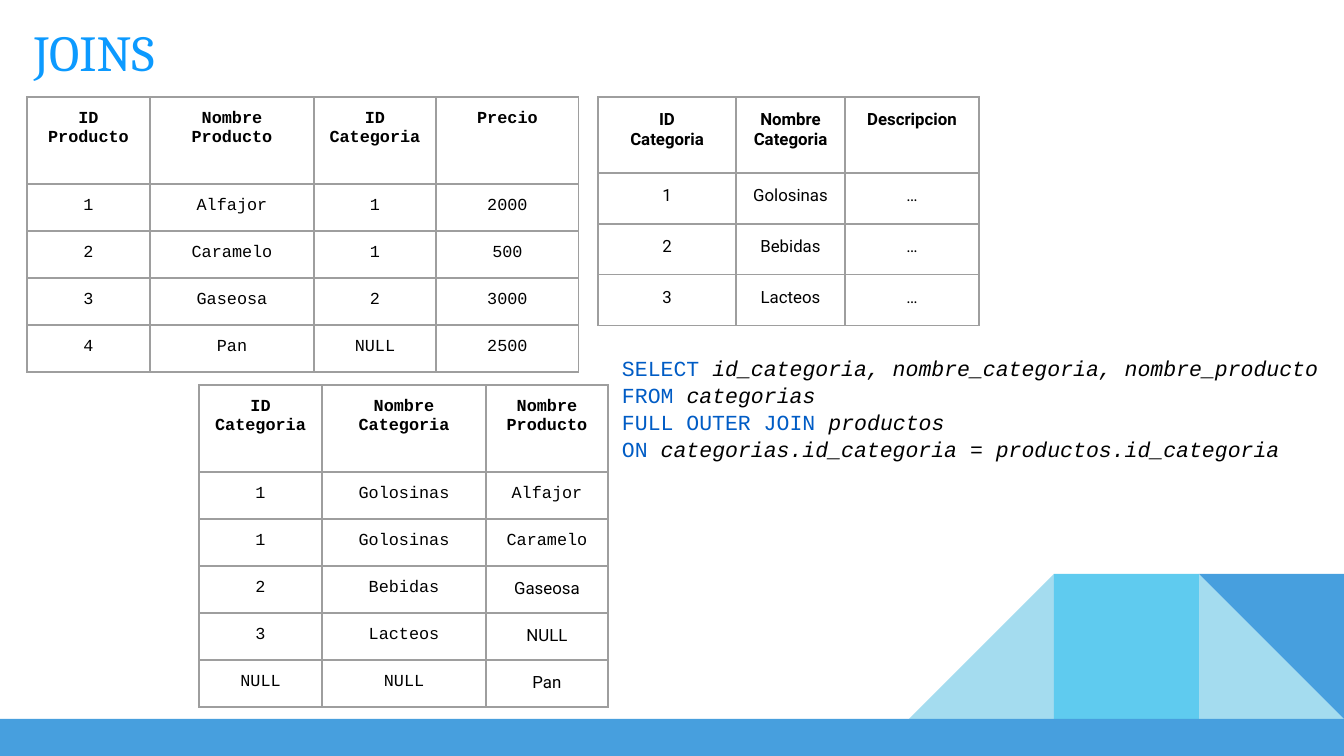
import lxml.etree
import pptx
import pptx.dml.color
import pptx.enum.shapes
import pptx.enum.text
import pptx.oxml.ns
import pptx.util

RGBColor = pptx.dml.color.RGBColor
SHAPE = pptx.enum.shapes.MSO_SHAPE

WIDTH, HEIGHT = 1344, 756
SCALE = 9144000 / WIDTH
PADDING = 13

BLACK = RGBColor(0x00, 0x00, 0x00)
TITLE_BLUE = RGBColor(0x0C, 0x9A, 0xFF)
KEYWORD_BLUE = RGBColor(0x00, 0x5C, 0xC5)
PALE_BLUE = RGBColor(0xA4, 0xDC, 0xEF)
SKY_BLUE = RGBColor(0x5F, 0xCB, 0xEF)
STRONG_BLUE = RGBColor(0x47, 0x9F, 0xDE)
GRID_GREY = RGBColor(0x9E, 0x9E, 0x9E)

MONO, SANS, SERIF = "Courier New", "Roboto", "Cambria"

PRODUCTS = [
    ["ID\nProducto", "Nombre Producto", "ID\nCategoria", "Precio"],
    ["1", "Alfajor", "1", "2000"],
    ["2", "Caramelo", "1", "500"],
    ["3", "Gaseosa", "2", "3000"],
    ["4", "Pan", "NULL", "2500"],
]
CATEGORIES = [
    ["ID\nCategoria", "Nombre\nCategoria", "Descripcion"],
    ["1", "Golosinas", "…"],
    ["2", "Bebidas", "…"],
    ["3", "Lacteos", "…"],
]
JOINED = [
    ["ID\nCategoria", "Nombre Categoria", "Nombre\nProducto"],
    ["1", "Golosinas", "Alfajor"],
    ["1", "Golosinas", "Caramelo"],
    ["2", "Bebidas", "Gaseosa"],
    ["3", "Lacteos", "NULL"],
    ["NULL", "NULL", "Pan"],
]
QUERY = [
    ("SELECT", "id_categoria, nombre_categoria, nombre_producto"),
    ("FROM", "categorias"),
    ("FULL OUTER JOIN", "productos"),
    ("ON", "categorias.id_categoria = productos.id_categoria"),
]


def px(length):
    return pptx.util.Emu(round(length * SCALE))


def set_font(font, name, size, color, bold=False):
    font.name = name
    font.size = pptx.util.Pt(size)
    font.color.rgb = color
    font.bold = bold


def set_padding(holder):
    holder.margin_left = holder.margin_right = px(PADDING)
    holder.margin_top = holder.margin_bottom = px(PADDING)


def add_block(slide, kind, left, top, width, height, color):
    block = slide.shapes.add_shape(kind, px(left), px(top), px(width), px(height))
    block.shadow.inherit = False
    block.fill.solid()
    block.fill.fore_color.rgb = color
    block.line.fill.background()
    return block


def add_decoration(slide, left, top, side, footer_height):
    """Row of three squares, the outer ones cut diagonally, on a footer band."""
    middle, right = left + side, left + 2 * side
    add_block(slide, SHAPE.RIGHT_TRIANGLE, right, top, side, side, PALE_BLUE)
    slope = add_block(slide, SHAPE.RIGHT_TRIANGLE, left, top, side, side, PALE_BLUE)
    slope._element.spPr.xfrm.set("flipH", "1")
    add_block(slide, SHAPE.RECTANGLE, middle, top, side, side, SKY_BLUE)
    corner = add_block(slide, SHAPE.RIGHT_TRIANGLE, right, top, side, side, STRONG_BLUE)
    corner.rotation = 180
    add_block(slide, SHAPE.RECTANGLE, 0, top + side, WIDTH, footer_height, STRONG_BLUE)


def add_text_frame(slide, left, top, width, height):
    frame = slide.shapes.add_textbox(px(left), px(top), px(width), px(height)).text_frame
    frame.word_wrap = True
    set_padding(frame)
    return frame


def add_title(slide, left, top, width, height):
    title = add_text_frame(slide, left, top, width, height).paragraphs[0]
    title.text = "JOINS"
    set_font(title.font, SERIF, 27, TITLE_BLUE)


def add_query(slide, left, top, width, height):
    frame = add_text_frame(slide, left, top, width, height)
    for index, (keyword, operand) in enumerate(QUERY):
        clause = frame.add_paragraph() if index else frame.paragraphs[0]
        clause.line_spacing = 1.06
        for text, color, italic in [
            (keyword, KEYWORD_BLUE, False),
            (" ", BLACK, False),
            (operand, BLACK, True),
        ]:
            run = clause.add_run()
            run.text = text
            set_font(run.font, MONO, 11.5, color)
            run.font.italic = italic


def add_borders(cell):
    properties = cell._tc.get_or_add_tcPr()
    for index, side in enumerate(("a:lnL", "a:lnR", "a:lnT", "a:lnB")):
        border = lxml.etree.Element(pptx.oxml.ns.qn(side), w=str(pptx.util.Pt(0.75)))
        fill = lxml.etree.SubElement(border, pptx.oxml.ns.qn("a:solidFill"))
        lxml.etree.SubElement(fill, pptx.oxml.ns.qn("a:srgbClr"), val=str(GRID_GREY))
        properties.insert(index, border)


def add_data_table(slide, left, top, columns, header_height, row_height, rows,
                   font_name, sans_cells=()):
    """Bordered table; sans_cells lists the (row, column) pairs set in SANS."""
    heights = [header_height] + [row_height] * (len(rows) - 1)
    table = slide.shapes.add_table(
        len(rows), len(columns), px(left), px(top), px(sum(columns)), px(sum(heights))
    ).table
    table.first_row = table.horz_banding = False
    for column, width in zip(table.columns, columns):
        column.width = px(width)
    for r, (values, height) in enumerate(zip(rows, heights)):
        table.rows[r].height = px(height)
        for c, value in enumerate(values):
            cell = table.cell(r, c)
            cell.text = value
            set_padding(cell)
            cell.fill.background()
            add_borders(cell)
            name = SANS if (r, c) in sans_cells else font_name
            for paragraph in cell.text_frame.paragraphs:
                paragraph.alignment = pptx.enum.text.PP_ALIGN.CENTER
                set_font(paragraph.font, name, 9, BLACK, bold=r == 0)


def main():
    presentation = pptx.Presentation()
    presentation.slide_width, presentation.slide_height = px(WIDTH), px(HEIGHT)
    slide = presentation.slides.add_slide(presentation.slide_layouts[6])
    add_decoration(slide, 909, 574, 145, 37)
    add_title(slide, 21, 8, 1253, 89)
    add_query(slide, 609, 340, 735, 132)
    add_data_table(slide, 27, 97, [123, 164, 122, 143], 87, 47, PRODUCTS, MONO)
    add_data_table(slide, 598, 97, [138, 109, 134], 76, 51, CATEGORIES, SANS)
    add_data_table(slide, 199, 385, [123, 164, 122], 87, 47, JOINED, MONO,
                   sans_cells=[(3, 2), (4, 2), (5, 2)])
    presentation.save("out.pptx")


if __name__ == "__main__":
    main()
